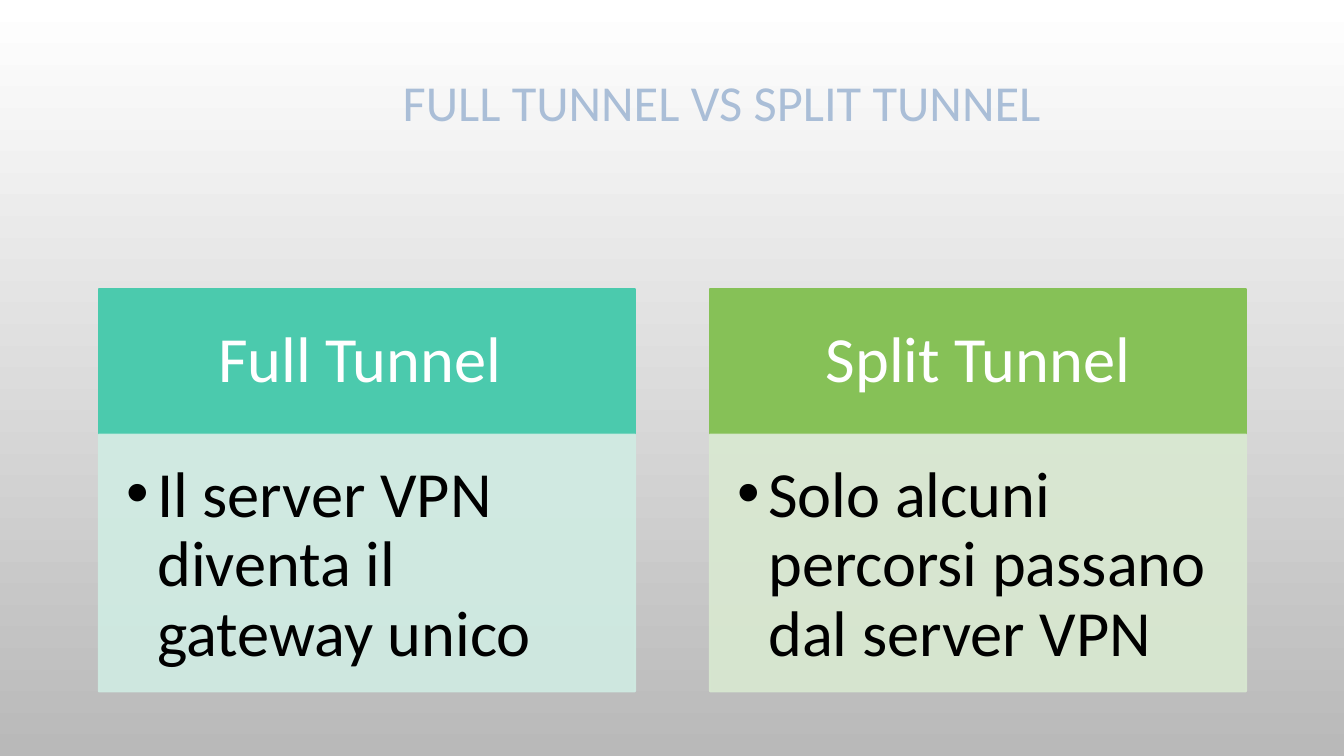
from dataclasses import dataclass

from lxml.etree import SubElement as Sub
from pptx import Presentation
from pptx.dml.color import RGBColor as Rgb
from pptx.enum.shapes import MSO_SHAPE as Shape
from pptx.enum.text import MSO_ANCHOR as Anchor, PP_ALIGN as Align
from pptx.oxml.ns import qn
from pptx.util import Inches, Pt

WIDE, HIGH = 13.33, 7.5


@dataclass(frozen=True)
class Theme:
    font: str = "Calibri"
    title: str = "AABED7"
    light: str = "FFFFFF"
    dark: str = "000000"
    fade: tuple[str, str] = ("FFFFFF", "B9B9B9")
    head_size: float = 36
    text_size: float = 46
    rule: float = 1.25
    leading: float = 0.9


@dataclass(frozen=True)
class Box:
    """Left, top, width and height in inches."""
    left: float
    top: float
    wide: float
    high: float

    def emu(self) -> list[int]:
        return [Inches(v) for v in (self.left, self.top, self.wide, self.high)]


@dataclass(frozen=True)
class Card:
    name: str
    text: str
    deep: str
    pale: str


@dataclass(frozen=True)
class Grid:
    left: float = 0.98
    top: float = 2.87
    wide: float = 5.32
    step: float = 6.06
    rows: tuple[float, float] = (1.44, 2.55)

    def cell(self, col: int, row: int) -> Box:
        top = self.top + sum(self.rows[:row])
        return Box(self.left + col * self.step, top, self.wide, self.rows[row])


THEME = Theme()
GRID = Grid()
TITLE = Box(0.11 * WIDE, 0.047 * HIGH, 0.854 * WIDE, 0.184 * HIGH)
HEAD_PAD = (0.36, 0.2, 0.36, 0.2)
BODY_PAD = (0.27, 0.27, 0.36, 0.4)
CARDS = [
    Card("Full Tunnel ", "Il server VPN diventa il gateway unico",
         "4BCAAD", "D0ECE3"),
    Card("Split Tunnel", "Solo alcuni percorsi passano dal server VPN",
         "86C157", "D9E9D1"),
]


def paint(slide) -> None:
    """Fade the background from top to bottom."""
    fill = slide.background.fill
    fill.gradient()
    fill.gradient_angle = 270
    for stop, tone in zip(fill.gradient_stops, THEME.fade):
        stop.color.rgb = Rgb.from_string(tone)


def write(shape, text: str, size: float, tone: str, pad: tuple = (),
          bullet: bool = False) -> None:
    frame = shape.text_frame
    frame.word_wrap = True
    frame.vertical_anchor = Anchor.TOP if bullet else Anchor.MIDDLE
    if pad:
        (frame.margin_left, frame.margin_top,
         frame.margin_right, frame.margin_bottom) = map(Inches, pad)
    para = frame.paragraphs[0]
    para.text = text
    para.alignment = Align.LEFT if bullet else Align.CENTER
    para.line_spacing = THEME.leading
    if bullet:
        props = para._p.get_or_add_pPr()
        props.set("marL", str(Inches(0.31)))
        props.set("indent", str(-Inches(0.31)))
        Sub(props, qn("a:buFont"), typeface="Arial")
        Sub(props, qn("a:buChar"), char="•")
    font = para.font
    font.name, font.size = THEME.font, Pt(size)
    font.color.rgb = Rgb.from_string(tone)


def panel(slide, box: Box, tone: str, alpha: int = 100):
    """Draw a flat block; alpha is its opacity in percent."""
    shape = slide.shapes.add_shape(Shape.RECTANGLE, *box.emu())
    shape.shadow.inherit = False
    shape.fill.solid()
    shape.line.width = Pt(THEME.rule)
    for color in (shape.fill.fore_color, shape.line.color):
        color.rgb = Rgb.from_string(tone)
    if alpha < 100:
        for node in shape._element.spPr.iter(qn("a:srgbClr")):
            Sub(node, qn("a:alpha"), val=str(alpha * 1000))
    return shape


def draw(slide, card: Card, col: int) -> None:
    head = panel(slide, GRID.cell(col, 0), card.deep)
    write(head, card.name, THEME.text_size, THEME.light, HEAD_PAD)
    body = panel(slide, GRID.cell(col, 1), card.pale, 90)
    write(body, card.text, THEME.text_size, THEME.dark, BODY_PAD, True)


def main() -> None:
    deck = Presentation()
    deck.slide_width, deck.slide_height = Inches(WIDE), Inches(HIGH)
    slide = deck.slides.add_slide(deck.slide_layouts[6])
    paint(slide)
    title = slide.shapes.add_textbox(*TITLE.emu())
    write(title, "FULL TUNNEL VS SPLIT TUNNEL", THEME.head_size, THEME.title)
    for col, card in enumerate(CARDS):
        draw(slide, card, col)
    deck.save("out.pptx")


if __name__ == "__main__":
    main()
